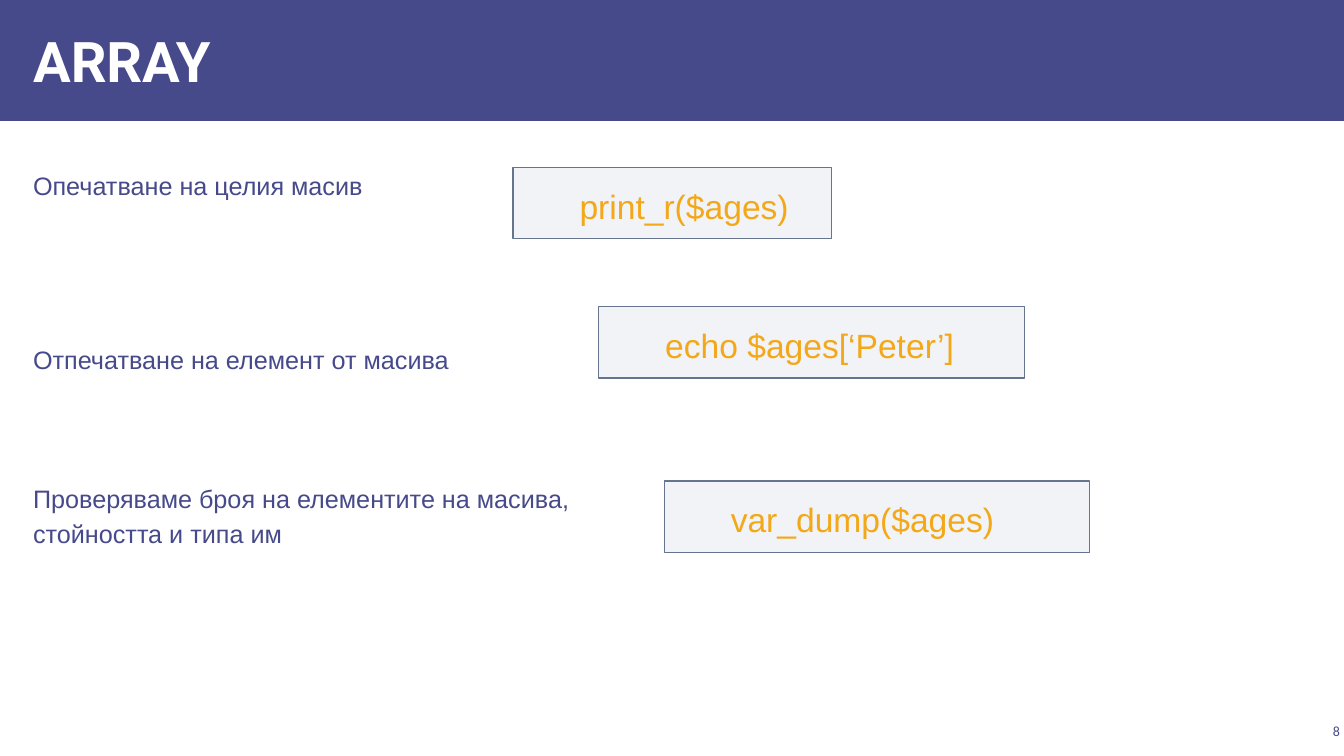
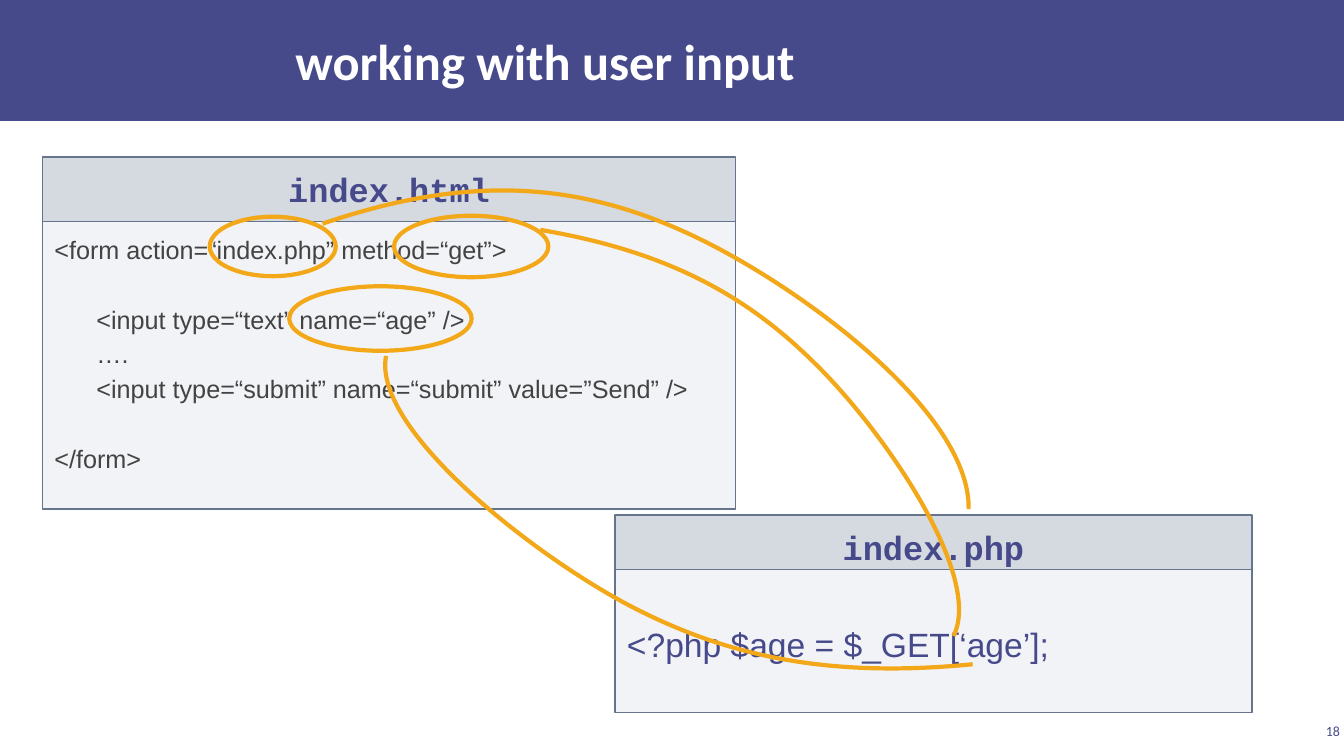
from lxml import etree
from pptx import Presentation
from pptx.dml.color import RGBColor
from pptx.enum.shapes import MSO_SHAPE
from pptx.enum.text import MSO_ANCHOR, PP_ALIGN
from pptx.oxml.ns import qn
from pptx.util import Pt

INDIGO = RGBColor(0x47, 0x4A, 0x8A)
ORANGE = RGBColor(0xF2, 0xA8, 0x18)
STEEL = RGBColor(0xAC, 0xB4, 0xC3)
SLATE = RGBColor(0x67, 0x74, 0x8E)
GRAY = RGBColor(0x43, 0x43, 0x43)
WHITE = RGBColor(0xFF, 0xFF, 0xFF)

SLIDE_W, SLIDE_H, BAND_H = 960, 540, 86.4
LINE = 24.8  # height of one 18 pt line of text
INSETS = (8.64, 2.88, 8.64, 2.88)
CODE_INSETS = (11.52, 8.64, 11.52, 8.64)
PANEL_INSETS = (8.64, 5.76, 8.64, 5.76)
HEADER_INSETS = (8.64, 8.64, 8.64, 8.64)

# Array slide: (text, blank lines above)
LABELS = [
    ("Опечатване на целия масив", 0),
    ("Отпечатване на елемент от масива", 4),
    ("Проверяваме броя на елементите на масива,", 3),
    ("стойността и типа им", 0),
]
# (code, left, top, width)
SNIPPETS = [
    ("print_r($ages)", 366.5, 119.5, 227.5),
    ("echo $ages[‘Peter’]", 427.7, 219, 304),
    ("var_dump($ages)", 474.5, 343.5, 304),
]

# User input slide: (text, blank lines above, first-line indent)
FORM_CODE = [
    ("<form action=“index.php” method=“get”>", 0, 0),
    ("<input type=“text” name=“age” />", 1, 30),
    ("….", 0, 30),
    ("<input type=“submit” name=“submit” value=”Send” />", 0, 30),
    ("</form>", 1, 0),
]
PHP_CODE = [("<?php $age = $_GET[‘age’];", 0, 0)]
PANELS = [
    dict(name="index.html", left=30.2, top=112.3, width=495.4, header=46.1,
         body=205.2, code=FORM_CODE, size=18, color=GRAY, drop=0),
    dict(name="index.php", left=439.2, top=367.9, width=455, header=38.9,
         body=102.2, code=PHP_CODE, size=24, color=INDIGO, drop=29),
]
RINGS = [(149.8, 154.8, 90, 42.5), (281.5, 154.1, 110.2, 43.9),
         (206.6, 204.5, 130.3, 46.1)]
# Start point, then two Bézier segments of three points each
CURVES = [
    [(230.4, 159.8), (333.4, 124.6), (410.4, 130.3), (487.4, 164.9),
     (563.8, 198.7), (693.4, 292.3), (691.9, 363.6)],
    [(385.9, 164.2), (475.2, 179.3), (532.1, 210.2), (581, 258.5),
     (630.7, 306.7), (702.7, 411.1), (681.1, 454.3)],
    [(694.8, 474.5), (591.1, 484.6), (518.4, 468.7), (448.6, 432),
     (379.4, 395.3), (265.7, 306), (275.8, 254.2)],
]


def setup_frame(sp, insets, anchor=MSO_ANCHOR.TOP):
    tf = sp.text_frame
    tf.word_wrap = True
    tf.vertical_anchor = anchor
    tf.margin_left, tf.margin_top, tf.margin_right, tf.margin_bottom = map(Pt, insets)
    return tf


def add_text(tf, text, size, color, font="Arial", bold=False,
             align=PP_ALIGN.LEFT, spacing=None, before=0, margin=0, indent=0):
    p = tf.paragraphs[0]
    if p.runs:
        p = tf.add_paragraph()
    p.alignment = align
    if spacing:
        p.line_spacing = spacing
    if before:
        p.space_before = Pt(before)
    if margin or indent:
        pPr = p._p.get_or_add_pPr()
        pPr.set("marL", str(Pt(margin)))
        pPr.set("indent", str(Pt(indent)))
    r = p.add_run()
    r.text = text
    r.font.name, r.font.size, r.font.bold = font, Pt(size), bold
    r.font.color.rgb = color


def add_textbox(s, box, insets, anchor=MSO_ANCHOR.TOP):
    return setup_frame(s.shapes.add_textbox(*map(Pt, box)), insets, anchor)


def add_box(s, box, alpha, insets):
    """Bordered rectangle with a translucent fill (alpha in percent)."""
    sp = s.shapes.add_shape(MSO_SHAPE.RECTANGLE, *map(Pt, box))
    sp.shadow.inherit = False
    sp.fill.solid()
    sp.fill.fore_color.rgb = STEEL
    clr = sp._element.spPr.find(qn("a:solidFill")).find(qn("a:srgbClr"))
    etree.SubElement(clr, qn("a:alpha")).set("val", str(alpha * 1000))
    sp.line.color.rgb = SLATE
    sp.line.width = Pt(1)
    return setup_frame(sp, insets)


def style_outline(sp):
    sp.shadow.inherit = False
    sp.fill.background()
    sp.line.color.rgb = ORANGE
    sp.line.width = Pt(3)


def add_curve(s, points):
    """Freeform whose points after the first are Bézier triples."""
    pts = [(Pt(x), Pt(y)) for x, y in points]
    builder = s.shapes.build_freeform(*pts[0])
    builder.add_line_segments(pts[1:], close=False)
    sp = builder.convert_to_shape()
    path = next(sp._element.iter(qn("a:path")))
    lines = path.findall(qn("a:lnTo"))
    for i in range(0, len(lines), 3):
        bezier = etree.SubElement(path, qn("a:cubicBezTo"))
        for line in lines[i:i + 3]:
            bezier.append(line[0])
            path.remove(line)
    style_outline(sp)


def add_slide(prs, title, number, size, font, align=PP_ALIGN.LEFT):
    s = prs.slides.add_slide(prs.slide_layouts[6])
    band = s.shapes.add_shape(MSO_SHAPE.RECTANGLE, 0, 0, Pt(SLIDE_W), Pt(BAND_H))
    band.shadow.inherit = False
    band.fill.solid()
    band.fill.fore_color.rgb = INDIGO
    band.line.fill.background()
    tf = add_textbox(s, (15, 8, 749, 70), INSETS, MSO_ANCHOR.MIDDLE)
    add_text(tf, title, size, WHITE, font, bold=True, align=align)
    tf = add_textbox(s, (926, 514, 34, 16), (2.88,) * 4, MSO_ANCHOR.MIDDLE)
    add_text(tf, number, 10, INDIGO, "Calibri", align=PP_ALIGN.RIGHT)
    return s


def build_array_slide(prs):
    s = add_slide(prs, "ARRAY", "8", 40, "Roboto")
    tf = add_textbox(s, (15, 115.7, 930, 388), INSETS)
    for text, blanks in LABELS:
        add_text(tf, text, 18, INDIGO, spacing=1.15, before=blanks * LINE)
    for code, left, top, width in SNIPPETS:
        tf = add_box(s, (left, top, width, 51), 15, CODE_INSETS)
        add_text(tf, code, 24, ORANGE, spacing=1.15, margin=36)


def build_input_slide(prs):
    s = add_slide(prs, "working with user input", "18", 36, "Calibri", PP_ALIGN.CENTER)
    # File panels: code body below a name header
    for d in PANELS:
        left, top, width, header = d["left"], d["top"], d["width"], d["header"]
        tf = add_box(s, (left, top + header, width, d["body"]), 15, PANEL_INSETS)
        tf.margin_top += Pt(d["drop"])
        for text, blanks, indent in d["code"]:
            add_text(tf, text, d["size"], d["color"], spacing=1.15,
                     before=blanks * LINE, indent=indent)
        tf = add_box(s, (left, top, width, header), 50, HEADER_INSETS)
        add_text(tf, d["name"], 24, INDIGO, "Courier New", True, PP_ALIGN.CENTER)
    # Rings around attributes and the curves that lead from them
    for ring, curve in zip(RINGS, CURVES):
        style_outline(s.shapes.add_shape(MSO_SHAPE.OVAL, *map(Pt, ring)))
        add_curve(s, curve)


def main():
    prs = Presentation()
    prs.slide_width, prs.slide_height = Pt(SLIDE_W), Pt(SLIDE_H)
    build_array_slide(prs)
    build_input_slide(prs)
    prs.save("out.pptx")


if __name__ == "__main__":
    main()
